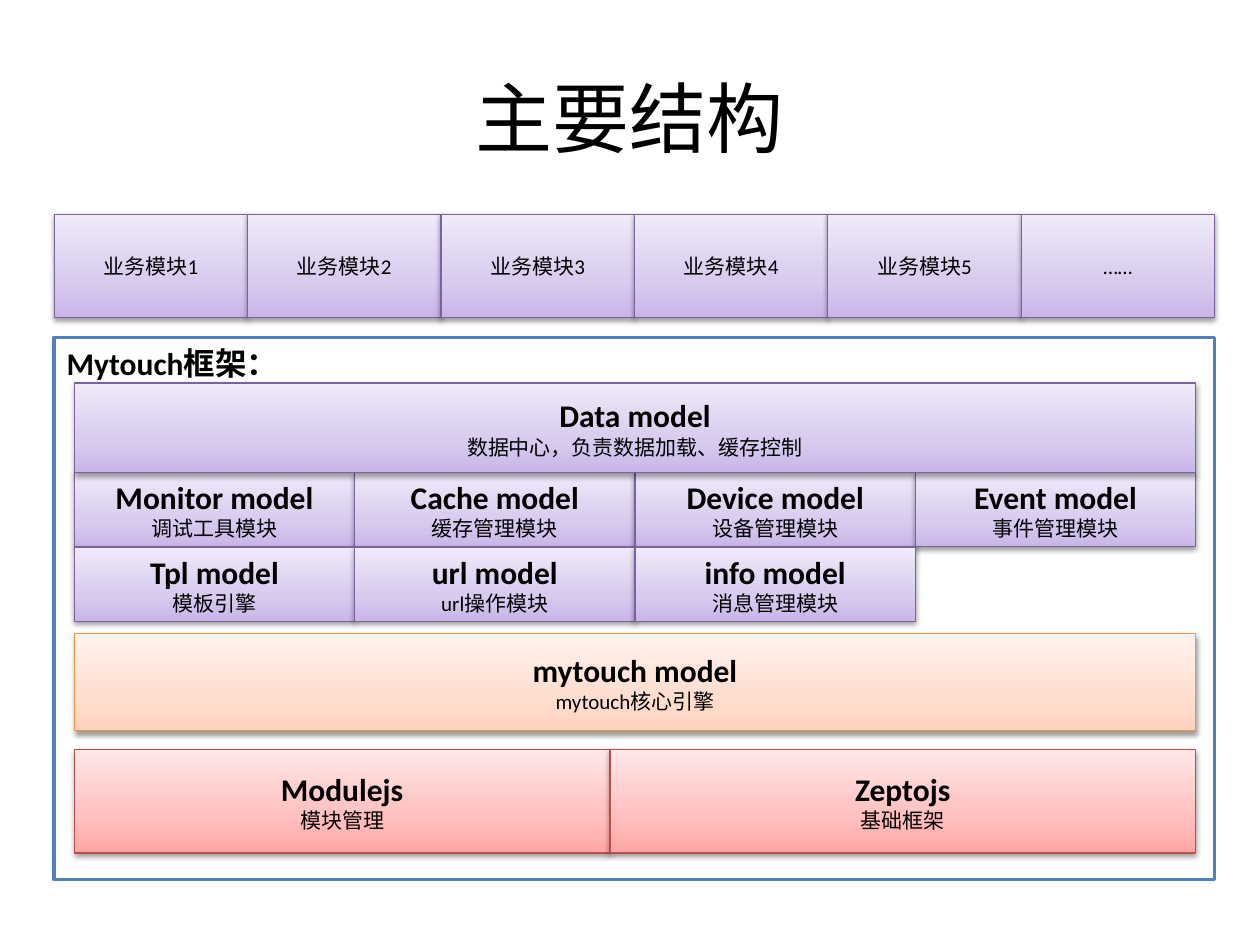
import copy

import pptx
import pptx.dml.color
import pptx.enum.shapes
import pptx.enum.text
import pptx.oxml
import pptx.oxml.ns
import pptx.util

Inches = pptx.util.Inches
Pt = pptx.util.Pt
ALIGN = pptx.enum.text.PP_ALIGN
ANCHOR = pptx.enum.text.MSO_ANCHOR

FONT = "Calibri"
COLORS = {"text": "000000", "paper": "FFFFFF", "frame": "4F81BD"}
# Gradient stops from bottom to top, then the outline
THEMES = {
    "purple": {"stops": ("C9B5E8", "D8CBEE", "F0EAF9"), "line": "7D60A0"},
    "orange": {"stops": ("FFD2BD", "FFDED0", "FFF2ED"), "line": "F69240"},
    "red": {"stops": ("FFA6A5", "FFC0BF", "FFE7E7"), "line": "BF4C48"},
}
SHADOW = (
    '<a:outerShdw %s blurRad="%d" dist="%d" dir="5400000" rotWithShape="0">'
    '<a:srgbClr val="000000"><a:alpha val="38000"/></a:srgbClr></a:outerShdw>'
    % (pptx.oxml.ns.nsdecls("a"), Pt(3.1), Pt(1.6))
)

BUSINESS = ["业务模块1", "业务模块2", "业务模块3", "业务模块4", "业务模块5", "……"]
MODELS = [
    ("Monitor model", "调试工具模块"),
    ("Cache model", "缓存管理模块"),
    ("Device model", "设备管理模块"),
    ("Event model", "事件管理模块"),
    ("Tpl model", "模板引擎"),
    ("url model", "url操作模块"),
    ("info model", "消息管理模块"),
]
FRAME_LEFT, FRAME_WIDTH = 0.43, 9.21
INNER_LEFT, INNER_WIDTH = 0.59, 8.9


def rgb(value):
    return pptx.dml.color.RGBColor.from_string(value)


def style_paragraph(para, size, bold=False, align=ALIGN.CENTER):
    para.alignment = align
    for span in para.runs:
        span.font.name = FONT
        span.font.size = Pt(size)
        span.font.bold = bold
        span.font.color.rgb = rgb(COLORS["text"])


def add_box(page, left, top, width, height, line_color, line_width):
    box = page.shapes.add_shape(
        pptx.enum.shapes.MSO_SHAPE.RECTANGLE,
        Inches(left), Inches(top), Inches(width), Inches(height))
    box.shadow.inherit = False
    box.line.color.rgb = rgb(line_color)
    box.line.width = Pt(line_width)
    return box


def fill_gradient(box, colors):
    box.fill.gradient()
    box.fill.gradient_angle = 90
    first = box._element.spPr.find(".//" + pptx.oxml.ns.qn("a:gs"))
    middle = copy.deepcopy(first)
    middle.set("pos", "35000")
    first.addnext(middle)
    for stop, color in zip(box.fill.gradient_stops, colors):
        stop.color.rgb = rgb(color)


def add_block(page, left, top, width, height, theme, caption, heading=None):
    """A gradient block with a small caption under an optional bold heading."""
    box = add_box(page, left, top, width, height, THEMES[theme]["line"], 0.75)
    fill_gradient(box, THEMES[theme]["stops"])
    effects = box._element.spPr.find(pptx.oxml.ns.qn("a:effectLst"))
    effects.append(pptx.oxml.parse_xml(SHADOW))

    frame = box.text_frame
    frame.vertical_anchor = ANCHOR.MIDDLE
    frame.text = f"{heading}\n{caption}" if heading else caption
    if heading:
        style_paragraph(frame.paragraphs[0], 18, bold=True)
    style_paragraph(frame.paragraphs[-1], 12)


def add_title(page, text):
    title = page.shapes.title
    title.left, title.top = Inches(0.5), Inches(0.3)
    title.width, title.height = Inches(9), Inches(1.25)
    title.text_frame.text = text
    title.text_frame.vertical_anchor = ANCHOR.MIDDLE
    style_paragraph(title.text_frame.paragraphs[0], 44)


def add_framework_frame(page):
    box = add_box(page, FRAME_LEFT, 2.68, FRAME_WIDTH, 4.3, COLORS["frame"], 2)
    box.fill.solid()
    box.fill.fore_color.rgb = rgb(COLORS["paper"])
    box.text_frame.text = "Mytouch框架："
    box.text_frame.vertical_anchor = ANCHOR.TOP
    style_paragraph(box.text_frame.paragraphs[0], 18, True, ALIGN.LEFT)


def add_business_row(page):
    width = FRAME_WIDTH / len(BUSINESS)
    for index, name in enumerate(BUSINESS):
        add_block(page, FRAME_LEFT + index * width, 1.7, width, 0.82, "purple", name)


def add_model_grid(page):
    columns, height = 4, 0.59
    width = INNER_WIDTH / columns
    for index, (heading, caption) in enumerate(MODELS):
        row, column = divmod(index, columns)
        add_block(page, INNER_LEFT + column * width, 3.75 + row * height,
                  width, height, "purple", caption, heading)


def main():
    deck = pptx.Presentation()
    deck.slide_width, deck.slide_height = Inches(10), Inches(7.5)
    page = deck.slides.add_slide(deck.slide_layouts[5])

    add_framework_frame(page)
    add_title(page, "主要结构")

    # Base libraries
    add_block(page, INNER_LEFT, 5.95, 4.25, 0.82, "red", "模块管理", "Modulejs")
    add_block(page, INNER_LEFT + 4.25, 5.95, 4.65, 0.82, "red", "基础框架", "Zeptojs")

    # Business modules above the framework
    add_business_row(page)

    # Framework models, data layer and core engine
    add_model_grid(page)
    add_block(page, INNER_LEFT, 3.04, INNER_WIDTH, 0.71, "purple",
              "数据中心，负责数据加载、缓存控制", "Data model")
    add_block(page, INNER_LEFT, 5.03, INNER_WIDTH, 0.77, "orange",
              "mytouch核心引擎", "mytouch model")

    deck.save("out.pptx")


if __name__ == "__main__":
    main()
